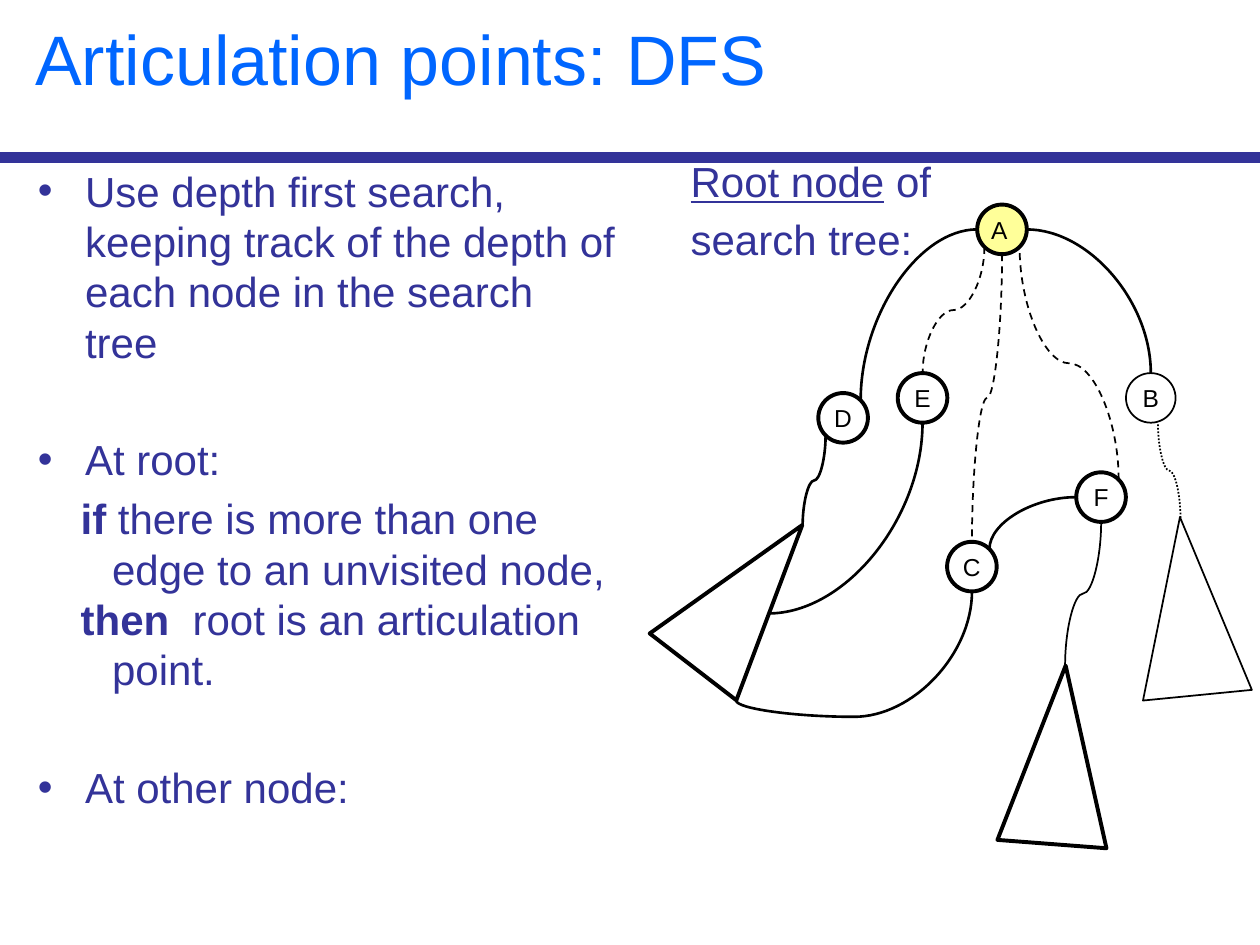
from dataclasses import dataclass
from lxml import etree
from pptx import Presentation
from pptx.dml.color import RGBColor
from pptx.enum.dml import MSO_LINE
from pptx.enum.shapes import MSO_CONNECTOR, MSO_SHAPE
from pptx.enum.text import MSO_ANCHOR, MSO_AUTO_SIZE, PP_ALIGN
from pptx.oxml.ns import qn
from pptx.util import Pt

TWO_CONTENT = 3
OVAL, TRIANGLE = MSO_SHAPE.OVAL, MSO_SHAPE.ISOSCELES_TRIANGLE
STRAIGHT, CURVE = MSO_CONNECTOR.STRAIGHT, MSO_CONNECTOR.CURVE
TOP, MIDDLE = MSO_ANCHOR.TOP, MSO_ANCHOR.MIDDLE
LEFT, CENTER = PP_ALIGN.LEFT, PP_ALIGN.CENTER
DASH, DOT = MSO_LINE.DASH, MSO_LINE.ROUND_DOT
FIXED = MSO_AUTO_SIZE.NONE


@dataclass(frozen=True)
class Theme:
    font: str = "Arial"
    title: RGBColor = RGBColor(0x00, 0x66, 0xFF)
    body: RGBColor = RGBColor(0x33, 0x33, 0x99)
    ink: RGBColor = RGBColor(0x00, 0x00, 0x00)
    paper: RGBColor = RGBColor(0xFF, 0xFF, 0xFF)
    root: RGBColor = RGBColor(0xFF, 0xFF, 0x99)
    title_size: float = 40
    body_size: float = 24
    node_size: float = 14
    thin: float = 1
    medium: float = 1.5
    thick: float = 2.25
    rule: float = 6
    node_width: float = 28.35


def apply(target, values):
    for name, value in values.items():
        setattr(target, name, value)


class SlideBuilder:
    def __init__(self, slide, theme):
        self.slide = slide
        self.theme = theme

    def span(self, para, text, size, color, **values):
        run = para.add_run()
        run.text = text
        run.font.color.rgb = color
        apply(run.font, {"name": self.theme.font, "size": Pt(size), **values})

    def placeholder(self, index, bounds, anchor):
        box = self.slide.placeholders[index]
        apply(box, dict(zip(("left", "top", "width", "height"), map(Pt, bounds))))
        apply(box.text_frame, {"auto_size": FIXED, "word_wrap": True,
                               "vertical_anchor": anchor})
        return box.text_frame

    def title(self, text, bounds):
        para = self.placeholder(0, bounds, MIDDLE).paragraphs[0]
        para.alignment = LEFT
        self.span(para, text, self.theme.title_size, self.theme.title)

    def body(self, index, bounds, items):
        frame = self.placeholder(index, bounds, TOP)
        for number, (kind, before, spans) in enumerate(items):
            para = frame.paragraphs[0] if number == 0 else frame.add_paragraph()
            margin, indent, level, bullet = kind
            apply(para, {"level": level, "alignment": LEFT, "space_before": Pt(before)})
            properties = para._p.get_or_add_pPr()
            properties.set("marL", str(Pt(margin)))
            properties.set("indent", str(Pt(indent)))
            if bullet:
                etree.SubElement(properties, qn("a:buFont"), typeface=self.theme.font)
                etree.SubElement(properties, qn("a:buChar"), char=bullet)
            else:
                etree.SubElement(properties, qn("a:buNone"))
            for text, values in spans:
                self.span(para, text, self.theme.body_size, self.theme.body, **values)

    def shape(self, kind, bounds, fill, weight, rotation=0):
        shape = self.slide.shapes.add_shape(kind, *map(Pt, bounds))
        shape.shadow.inherit = False
        shape.rotation = rotation
        shape.fill.solid()
        shape.fill.fore_color.rgb = fill
        shape.line.color.rgb = self.theme.ink
        shape.line.width = Pt(weight)
        return shape

    def node(self, text, center, fill, weight):
        width = self.theme.node_width
        x, y = center
        bounds = (x - width / 2, y - width / 2, width, width)
        frame = self.shape(OVAL, bounds, fill, weight).text_frame
        apply(frame, {"word_wrap": False, "vertical_anchor": MIDDLE})
        para = frame.paragraphs[0]
        para.alignment = CENTER
        self.span(para, text, self.theme.node_size, self.theme.ink)

    def subtree(self, left, top, rotation, weight):
        self.shape(TRIANGLE, (left, top, 62.5, 102.3), self.theme.paper, weight, rotation)

    def line(self, kind, start, end, color, weight, dash=None):
        line = self.slide.shapes.add_connector(kind, *map(Pt, (*start, *end)))
        line.line.color.rgb = color
        line.line.width = Pt(weight)
        if dash:
            line.line.dash_style = dash
        etree.SubElement(line._element.spPr, qn("a:effectLst"))
        return line

    def arc(self, start, end):
        line = self.line(CURVE, start, end, self.theme.ink, self.theme.medium)
        line._element.spPr.find(qn("a:prstGeom")).set("prst", "curvedConnector2")

    def wave(self, start, end, weight, dash=None, bend=0.5):
        middle_x, middle_y = (start[0] + end[0]) / 2, (start[1] + end[1]) / 2
        half_x, half_y = (end[0] - start[0]) / 2, (end[1] - start[1]) / 2
        line = self.line(CURVE, (middle_x - half_y, middle_y + half_x),
                         (middle_x + half_y, middle_y - half_x),
                         self.theme.ink, weight, dash)
        properties = line._element.spPr
        properties.find(qn("a:xfrm")).set("rot", str(90 * 60000))
        guides = properties.find(qn("a:prstGeom")).find(qn("a:avLst"))
        etree.SubElement(guides, qn("a:gd"), name="adj1", fmla=f"val {round(bend * 100000)}")


def main():
    theme = Theme()
    deck = Presentation()
    deck.slide_width, deck.slide_height = Pt(720), Pt(540)
    page = SlideBuilder(deck.slides.add_slide(deck.slide_layouts[TWO_CONTENT]), theme)

    bullet, clause, plain = (27, -27, 0, "•"), (42.5, -18, 1, None), (26.7, 0, 0, None)
    gap, section_gap = 4.8, 38.4
    bold, underline = {"bold": True}, {"underline": True}
    page.line(STRAIGHT, (0, 90), (720, 90), theme.body, theme.rule)
    page.title("Articulation points: DFS", (13, 0, 636, 66))
    page.body(1, (14.4, 90.7, 345.6, 440), [
        (bullet, 0, [("Use depth first search, keeping track of the depth of "
                      "each node in the search tree", {})]),
        (bullet, section_gap, [("At root:", {})]),
        (clause, gap, [("if", bold),
                       (" there is more than one edge to an unvisited node,", {})]),
        (clause, 0, [("then", bold), ("  root is an articulation point.", {})]),
        (bullet, section_gap, [("At other node:", {})]),
    ])
    page.body(2, (360.7, 85, 345.6, 445.7), [
        (plain, 0, [("Root node", underline), (" of", {})]),
        (plain, gap, [("search tree:", {})]),
    ])

    centers = {"B": (657.6, 227.4), "C": (555.4, 323.8), "D": (481.8, 238.8),
               "A": (572.6, 131.1), "F": (629.2, 284.1), "E": (527.2, 227.4)}
    for name, center in centers.items():
        page.node("A " if name == "A" else name, center,
                  theme.root if name == "A" else theme.paper,
                  theme.thin if name == "B" else theme.thick)

    def port(name, across, down):
        radius = theme.node_width / 2 * (0.71 if across and down else 1)
        x, y = centers[name]
        return x + across * radius, y + down * radius

    left_top, left_side, left_foot = (458.6, 300.3), (439.2, 350.6), (420.6, 400.3)
    middle_top, right_top = (608.6, 380.2), (674.6, 295.9)

    for start, end in [
        (port("A", -1, 0), port("D", 1, -1)),
        (port("A", 1, 0), port("B", 0, -1)),
        (left_side, port("E", 0, 1)),
        (port("F", -1, 0), port("C", 1, -1)),
    ]:
        page.arc(start, end)

    for start, end, weight, dash in [
        (left_top, port("D", -1, 1), theme.medium, None),
        (port("A", 0, 1), port("C", 0, -1), theme.thin, DASH),
        (port("F", 1, -1), port("A", 1, 1), theme.thin, DASH),
        (right_top, (661.7, 241.9), theme.thin, DOT),
        (port("A", -1, 1), port("E", 0, -1), theme.thin, DASH),
        (middle_top, port("F", 0, 1), theme.thin, None),
    ]:
        page.wave(start, end, weight, dash)
    page.wave(left_foot, port("C", 0, 1), theme.medium, bend=-0.15)

    page.subtree(396, 289.4, 37.6, theme.thick)
    page.subtree(573.8, 380.2, 4.4, theme.thick)
    page.subtree(648, 295.2, 354.4, theme.thin)
    deck.save("out.pptx")


if __name__ == "__main__":
    main()
